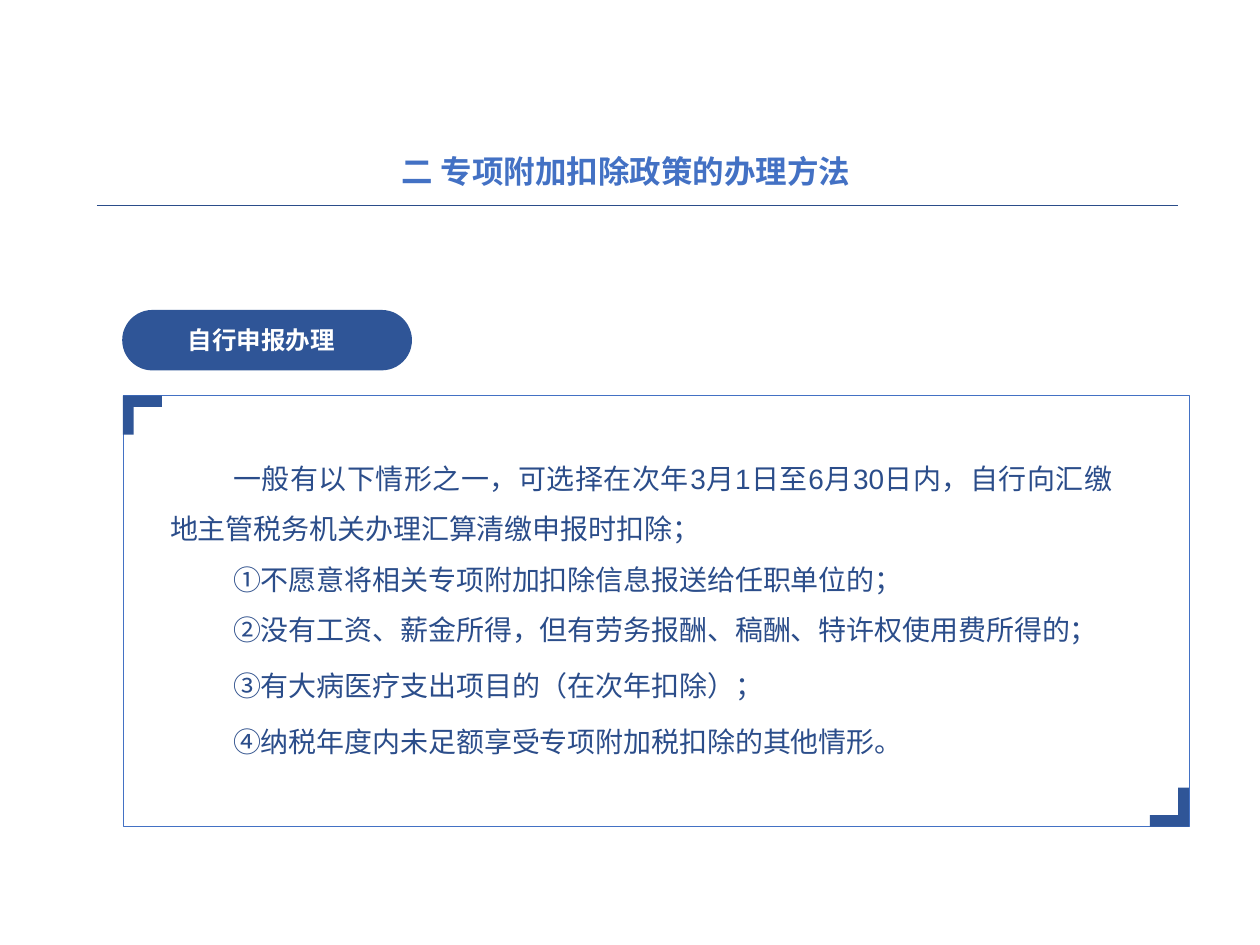
"""Build the slide on how to claim the special additional deductions."""
from dataclasses import dataclass
from typing import NamedTuple, Optional

from lxml.etree import SubElement
from pptx import Presentation
from pptx.dml.color import RGBColor as RGB
from pptx.enum.shapes import MSO_CONNECTOR as CONN, MSO_SHAPE as SHAPE
from pptx.enum.text import MSO_ANCHOR as ANCHOR, MSO_AUTO_SIZE as FIT, PP_ALIGN as ALIGN
from pptx.oxml.ns import qn
from pptx.util import Emu, Inches, Pt


@dataclass(frozen=True)
class Theme:
    accent: RGB = RGB(0x43, 0x71, 0xC4)
    dark: RGB = RGB(0x2F, 0x55, 0x97)
    ink: RGB = RGB(0x2B, 0x4D, 0x8A)
    white: RGB = RGB(0xFF, 0xFF, 0xFF)
    latin: str = "Arial"
    cjk: str = "Noto Sans CJK SC"
    title: int = 18
    label: int = 14
    body: int = 16


class Box(NamedTuple):
    col: float
    row: float
    cols: float
    rows: float


T = Theme()
COLS, ROWS = 100, 75
CELL = Inches(10) // COLS

TITLE = Box(31.9, 11.5, 41.4, 4.1)
PILL = Box(9.7, 24.6, 23, 4.8)
LABEL = Box(5.9, 25.4, 29.7, 3.4)
PANEL = Box(9.75, 31.4, 84.6, 34.2)
BODY = Box(13.5, 35.3, 74.8, 37.1)
RULE_LEFT, RULE_RIGHT, RULE_ROW = 7.7, 93.5, 16.3
BRACKET = [(0, 0), (3.1, 0), (3.1, 0.9), (0.85, 0.9), (0.85, 3.1), (0, 3.1)]

PARAGRAPHS = [
    "一般有以下情形之一，可选择在次年3月1日至6月30日内，自行向汇缴地主管税务机关办理汇算清缴申报时扣除；",
    "①不愿意将相关专项附加扣除信息报送给任职单位的；",
    "②没有工资、薪金所得，但有劳务报酬、稿酬、特许权使用费所得的；",
    "③有大病医疗支出项目的（在次年扣除）；",
    "④纳税年度内未足额享受专项附加税扣除的其他情形。",
]
TIGHT = 3


def cells(n: float) -> Emu:
    """Turn grid cells into a length."""
    return Emu(round(n * CELL))


def place(sp, box: Box) -> None:
    """Move a shape to its place on the grid."""
    sp.left, sp.top, sp.width, sp.height = map(cells, box)


def set_frame(tf, anchor: ANCHOR, inset_y: float = 0) -> None:
    """Set the anchor and insets of a text frame."""
    tf.word_wrap = True
    tf.auto_size = FIT.NONE
    tf.vertical_anchor = anchor
    tf.margin_left = tf.margin_right = 0
    tf.margin_top = tf.margin_bottom = cells(inset_y)


def write(p, text: str, *, size: int, color: RGB, font: str = T.cjk, bold: bool = False,
          align: ALIGN = ALIGN.LEFT, spacing: Optional[float] = None) -> None:
    """Put one formatted run into a paragraph."""
    p.alignment = align
    p.line_spacing = spacing
    r = p.add_run()
    r.text = text
    f = r.font
    f.name, f.size, f.bold = font, Pt(size), bold
    f.color.rgb = color
    SubElement(r._r.get_or_add_rPr(), qn("a:ea"), typeface=T.cjk)


def add_rounded(s, box: Box, roundness: float, fill: Optional[RGB] = None,
                line: Optional[RGB] = None) -> None:
    """Draw a rounded rectangle."""
    sp = s.shapes.add_shape(SHAPE.ROUNDED_RECTANGLE, *map(cells, box))
    sp.adjustments[0] = roundness
    sp.shadow.inherit = False
    if fill is None:
        sp.fill.background()
    else:
        sp.fill.solid()
        sp.fill.fore_color.rgb = fill
    if line is None:
        sp.line.fill.background()
    else:
        sp.line.color.rgb = line
        sp.line.width = Pt(0.25)


def add_bracket(s, col: float, row: float, sign: int) -> None:
    """Draw a corner bracket; a sign of -1 turns it half round."""
    points = [(cells(col + sign * x), cells(row + sign * y)) for x, y in BRACKET]
    fb = s.shapes.build_freeform(*points[0], scale=1.0)
    fb.add_line_segments(points[1:], close=True)
    sp = fb.convert_to_shape()
    sp.shadow.inherit = False
    sp.fill.solid()
    sp.fill.fore_color.rgb = T.dark
    sp.line.fill.background()


def add_rule(s) -> None:
    """Draw the line under the title."""
    y = cells(RULE_ROW)
    cx = s.shapes.add_connector(CONN.STRAIGHT, cells(RULE_LEFT), y, cells(RULE_RIGHT), y)
    cx.line.color.rgb = T.ink
    cx.line.width = Pt(0.5)
    SubElement(cx._element.spPr, qn("a:effectLst"))


def fill_title(s) -> None:
    """Write the title."""
    sp = s.shapes.title
    place(sp, TITLE)
    set_frame(sp.text_frame, ANCHOR.MIDDLE, 0.5)
    write(sp.text_frame.paragraphs[0], "二 专项附加扣除政策的办理方法",
          size=T.title, color=T.accent, bold=True)


def fill_body(s) -> None:
    """Write the indented conditions."""
    sp = s.placeholders[1]
    place(sp, BODY)
    tf = sp.text_frame
    set_frame(tf, ANCHOR.TOP)
    for i, text in enumerate(PARAGRAPHS):
        p = tf.add_paragraph() if i else tf.paragraphs[0]
        pPr = p._p.get_or_add_pPr()
        pPr.set("marL", "0")
        pPr.set("indent", str(cells(5)))
        SubElement(pPr, qn("a:buNone"))
        if i < TIGHT:
            p.space_before = Pt(0)
        write(p, text, size=T.body, color=T.ink, font=T.latin,
              align=ALIGN.JUSTIFY, spacing=1.5)


def add_label(s) -> None:
    """Draw the pill and its caption."""
    add_rounded(s, PILL, 0.5, fill=T.dark)
    tf = s.shapes.add_textbox(*map(cells, LABEL)).text_frame
    set_frame(tf, ANCHOR.MIDDLE)
    write(tf.paragraphs[0], "自行申报办理", size=T.label, color=T.white, bold=True,
          align=ALIGN.CENTER, spacing=0.9)


def main() -> None:
    """Build and save the slide."""
    prs = Presentation()
    prs.slide_width, prs.slide_height = cells(COLS), cells(ROWS)
    s = prs.slides.add_slide(prs.slide_layouts[1])
    fill_title(s)
    add_rule(s)
    add_label(s)
    add_rounded(s, PANEL, 0, line=T.accent)
    fill_body(s)
    add_bracket(s, PANEL.col, PANEL.row, 1)
    add_bracket(s, PANEL.col + PANEL.cols, PANEL.row + PANEL.rows, -1)
    prs.save("out.pptx")


if __name__ == "__main__":
    main()
